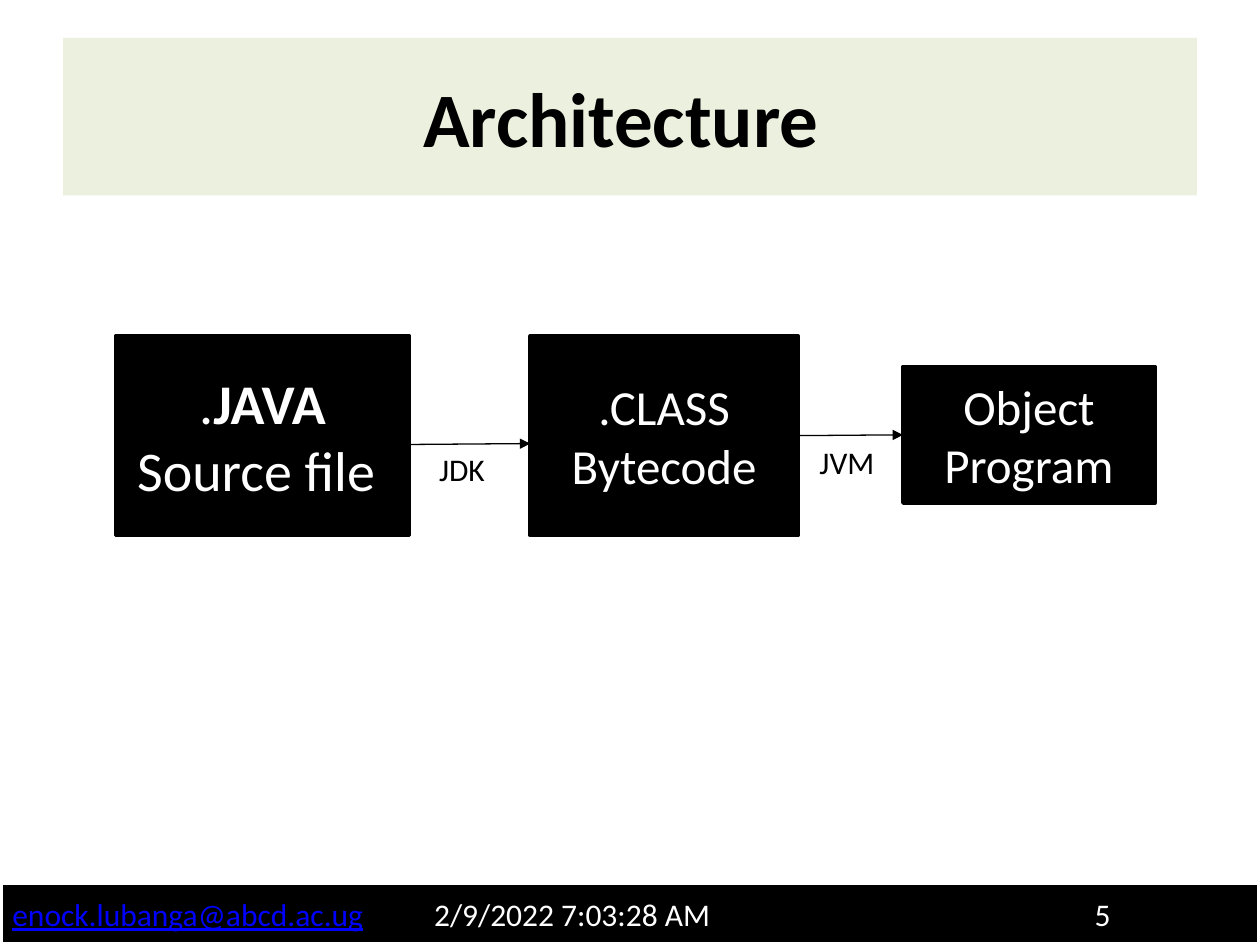
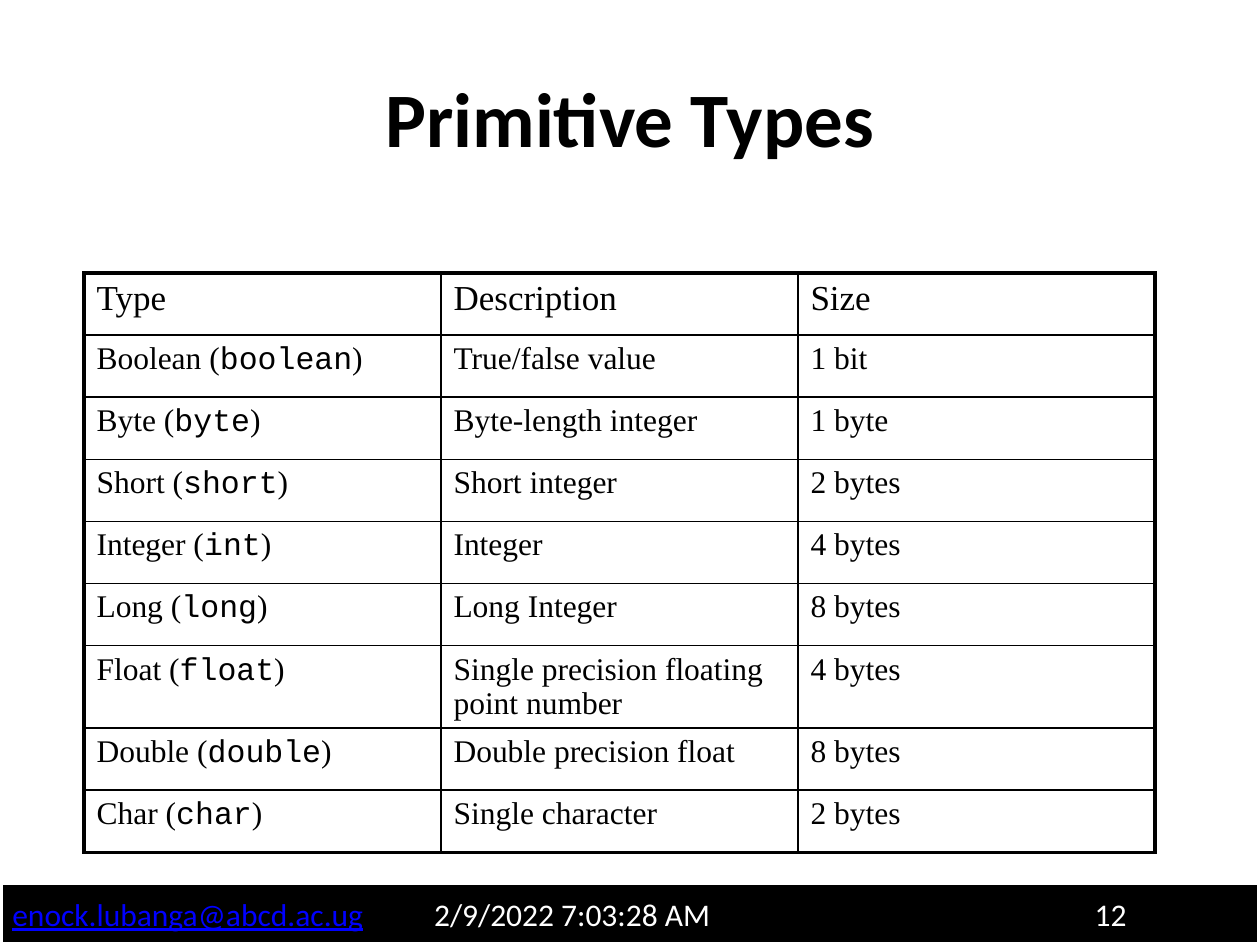
from lxml.etree import SubElement
from pptx import Presentation
from pptx.dml.color import RGBColor
from pptx.enum.shapes import MSO_CONNECTOR, MSO_SHAPE
from pptx.enum.text import MSO_ANCHOR, PP_ALIGN
from pptx.oxml.ns import qn
from pptx.util import Pt

BLACK, WHITE, BLUE, PALE_GREEN = "000000", "FFFFFF", "0000FF", "EBF1DE"
SANS, SERIF, MONO = "Calibri", "Times New Roman", "Courier New"
EMAIL = "enock.lubanga@abcd.ac.ug"
TIMESTAMP = "2/9/2022 7:03:28 AM"
FOOTER_TABS = (241, 618.5)
HEADER = ("Type", "Description", "Size")
PRIMITIVES = (
    ("Boolean", "boolean", "True/false value", "1 bit"),
    ("Byte", "byte", "Byte-length integer", "1 byte"),
    ("Short", "short", "Short integer", "2 bytes"),
    ("Integer", "int", "Integer", "4 bytes"),
    ("Long", "long", "Long Integer", "8 bytes"),
    ("Float", "float", "Single precision floating point number", "4 bytes"),
    ("Double", "double", "Double precision float", "8 bytes"),
    ("Char", "char", "Single character", "2 bytes"),
)


def rgb(color):
    return RGBColor.from_string(color)


def set_font(font, name, size, color, bold=False):
    font.name, font.size, font.bold = name, Pt(size), bold
    font.color.rgb = rgb(color)


def add_rect(slide, box, line_color, line_width):
    sp = slide.shapes.add_shape(MSO_SHAPE.RECTANGLE, *map(Pt, box))
    sp.shadow.inherit = False
    sp.fill.solid()
    sp.fill.fore_color.rgb = rgb(BLACK)
    sp.line.color.rgb = rgb(line_color)
    sp.line.width = Pt(line_width)
    sp.text_frame.vertical_anchor = MSO_ANCHOR.MIDDLE
    return sp


def add_footer(slide, number):
    sp = add_rect(slide, (0, 504, 720, 36), WHITE, 3)
    p = sp.text_frame.paragraphs[0]
    p.alignment = PP_ALIGN.LEFT
    set_font(p.font, SANS, 18, WHITE)
    tabs = SubElement(p._p.get_or_add_pPr(), qn("a:tabLst"))
    p._p.pPr.insert(0, tabs)
    for pos in FOOTER_TABS:
        SubElement(tabs, qn("a:tab"), pos=str(Pt(pos)), algn="l")
    r = p.add_run()
    r.text = EMAIL
    r.font.color.rgb = rgb(BLUE)
    r.font.underline = True
    p.add_run().text = f"\t{TIMESTAMP}\t{number}"


def add_slide(prs, title, number, band=None):
    s = prs.slides.add_slide(prs.slide_layouts[5])
    add_footer(s, number)
    sp = s.shapes.title
    sp.left, sp.top, sp.width, sp.height = map(Pt, (36, 21.6, 648, 90))
    if band:
        sp.fill.solid()
        sp.fill.fore_color.rgb = rgb(band)
    tf = sp.text_frame
    tf.text = title
    tf.vertical_anchor = MSO_ANCHOR.MIDDLE
    p = tf.paragraphs[0]
    p.alignment = PP_ALIGN.CENTER
    set_font(p.font, SANS, 44, BLACK, bold=True)
    return s


def add_stage(slide, box, size, text):
    tf = add_rect(slide, box, BLACK, 2).text_frame
    tf.text = text
    for p in tf.paragraphs:
        p.alignment = PP_ALIGN.CENTER
        set_font(p.font, SANS, size, WHITE)
    return tf


def add_arrow(slide, x1, y1, x2, y2):
    cxn = slide.shapes.add_connector(MSO_CONNECTOR.STRAIGHT, *map(Pt, (x1, y1, x2, y2)))
    cxn.line.color.rgb = rgb(BLACK)
    cxn.line.width = Pt(0.75)
    SubElement(cxn.line._get_or_add_ln(), qn("a:tailEnd"), type="triangle")
    SubElement(cxn._element.spPr, qn("a:effectLst"))


def add_label(slide, x, y, text):
    tf = slide.shapes.add_textbox(Pt(x), Pt(y), Pt(72), Pt(72)).text_frame
    tf.word_wrap = True
    tf.vertical_anchor = MSO_ANCHOR.MIDDLE
    tf.text = text
    p = tf.paragraphs[0]
    p.alignment = PP_ALIGN.CENTER
    set_font(p.font, SANS, 18, BLACK)


def set_borders(cell, widths):
    tcPr = cell._tc.get_or_add_tcPr()
    for side, width in zip("LRTB", widths):
        ln = SubElement(tcPr, qn(f"a:ln{side}"), w=str(Pt(width)))
        fill = SubElement(ln, qn("a:solidFill"))
        SubElement(fill, qn("a:srgbClr"), val=BLACK)
    cell.fill.background()


def fill_cell(cell, size, text, keyword=None):
    p = cell.text_frame.paragraphs[0]
    p.space_before = Pt(size * 0.2)
    set_font(p.font, SERIF, size, BLACK)
    if keyword is None:
        p.add_run().text = text
        return
    for part, font in ((f"{text} (", SERIF), (keyword, MONO), (")", SERIF)):
        r = p.add_run()
        r.text = part
        r.font.name = font


def add_types_table(slide):
    rows, cols = len(PRIMITIVES) + 1, len(HEADER)
    frame = slide.shapes.add_table(rows, cols, Pt(48), Pt(156), Pt(612), Pt(35.5 * rows))
    table = frame.table
    table.first_row = table.horz_banding = False
    for i in range(rows):
        for j in range(cols):
            edges = (j == 0, j == cols - 1, i == 0, i == rows - 1)
            set_borders(table.cell(i, j), [2.25 if edge else 1 for edge in edges])
    for j, heading in enumerate(HEADER):
        fill_cell(table.cell(0, j), 20, heading)
    for i, (name, keyword, description, size) in enumerate(PRIMITIVES, 1):
        fill_cell(table.cell(i, 0), 18, name, keyword)
        fill_cell(table.cell(i, 1), 18, description)
        fill_cell(table.cell(i, 2), 18, size)


def build_architecture(prs):
    s = add_slide(prs, "Architecture ", 5, PALE_GREEN)
    source = add_stage(s, (66, 192, 168, 114), 32, ".\nSource file ")
    r = source.paragraphs[0].add_run()
    r.text = "JAVA"
    r.font.bold = True
    add_stage(s, (303, 192, 153, 114), 28, ".CLASS\nBytecode")
    add_stage(s, (516, 209.5, 144, 78), 28, "Object Program")
    add_arrow(s, 234, 254, 303, 253.5)
    add_arrow(s, 447, 249, 516, 248.5)
    add_label(s, 228, 232, "JDK")
    add_label(s, 448, 228, "JVM")


def build_primitive_types(prs):
    s = add_slide(prs, "Primitive Types", 12)
    add_types_table(s)


def main():
    prs = Presentation()
    prs.slide_width, prs.slide_height = Pt(720), Pt(540)
    build_architecture(prs)
    build_primitive_types(prs)
    prs.save("out.pptx")


if __name__ == "__main__":
    main()
